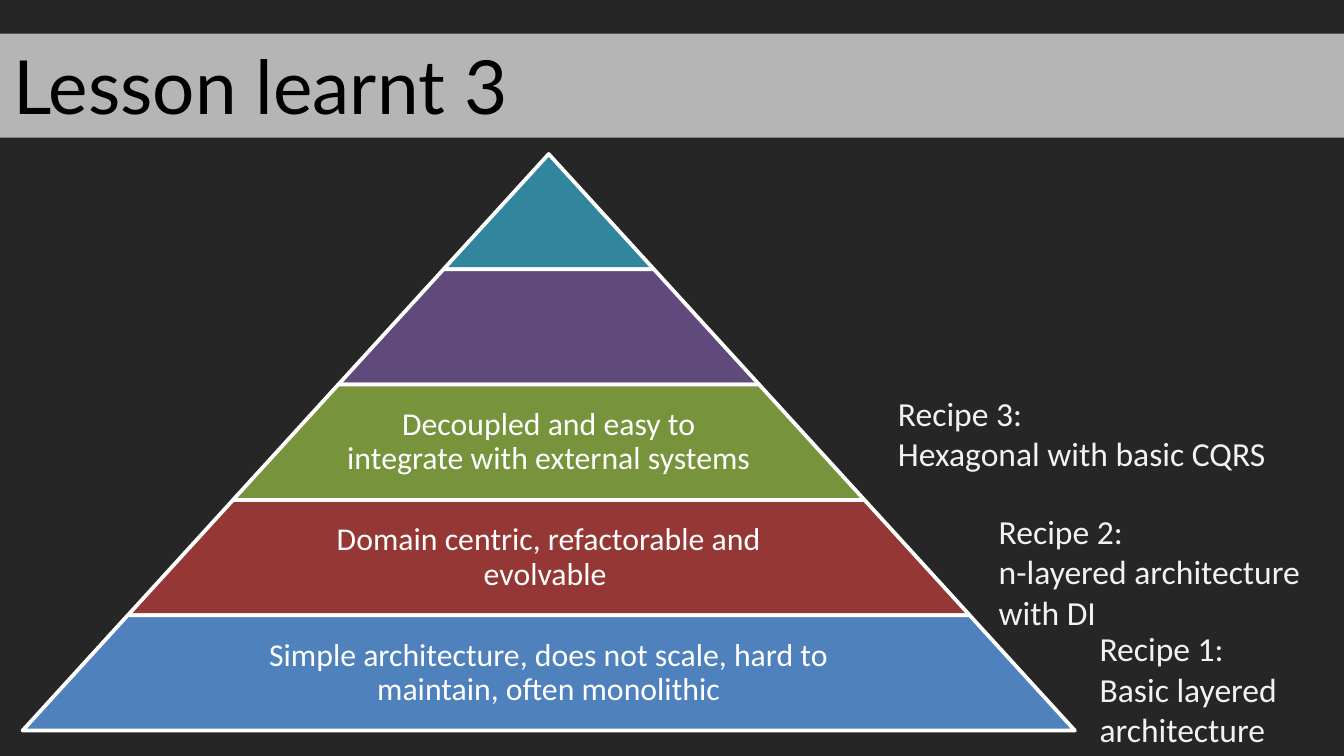
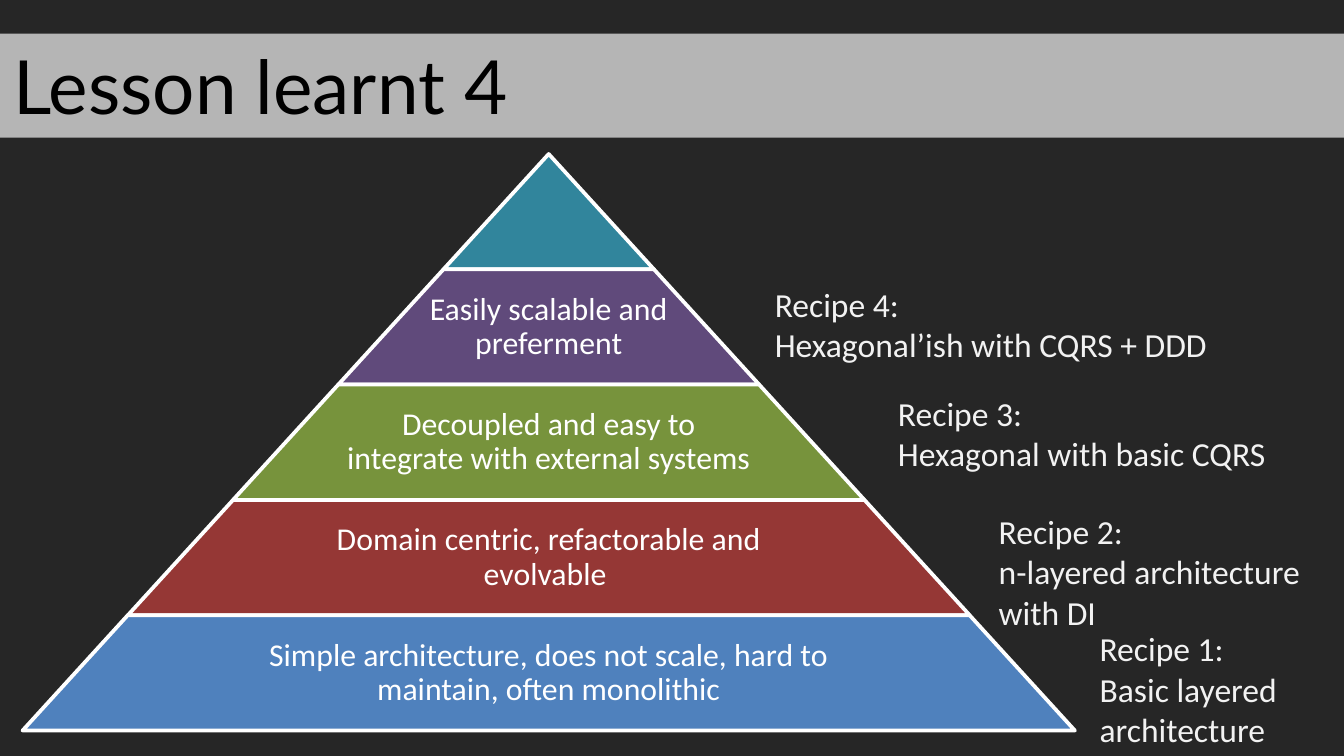
from lxml.etree import SubElement
from pptx import Presentation
from pptx.dml.color import RGBColor
from pptx.enum.shapes import MSO_SHAPE
from pptx.enum.text import MSO_ANCHOR, MSO_AUTO_SIZE, PP_ALIGN
from pptx.oxml.ns import qn
from pptx.util import Inches, Pt

WIDE = Inches(10)
HIGH = WIDE * 9 // 16
COLORS = {
    "back": "262626", "band": "D9D9D9", "title": "000000",
    "edge": "FFFFFF", "tier": "FFFFFF", "label": "F2F2F2",
}
FILLS = ["31859C", "604A7B", "77933C", "953735", "4F81BD"]
APEX, TOP, STEP, ROW = 40.83, 11.46, 7.83, 8.58
SHARE = 0.65
TIERS = [
    "",
    "Easily scalable and preferment",
    "Decoupled and easy to integrate with external systems",
    "Domain centric, refactorable and evolvable ",
    "Simple architecture, does not scale, hard to maintain, often monolithic",
]
RECIPES = [
    ((80.83, 46.25, 15.5, 10.1), ["Basic layered", "architecture"]),
    ((73.33, 37.53, 25, 10.1), ["n-layered architecture with DI"]),
    ((65.83, 28.75, 32.5, 7.07), ["Hexagonal with basic CQRS"]),
    ((56.67, 20.63, 41.67, 7.07), ["Hexagonal’ish with CQRS + DDD"]),
]


def grid(*cells):
    """Turn grid units, a hundred to the slide width, into lengths."""
    return [round(cell * WIDE / 100) for cell in cells]


def paint(fill, color):
    """Give a solid fill."""
    fill.solid()
    fill.fore_color.rgb = RGBColor.from_string(color)


def write(frame, lines, name, size, color, align=PP_ALIGN.LEFT):
    """Write each line as a paragraph in one style."""
    frame.word_wrap = True
    frame.text = "\n".join(lines)
    for para in frame.paragraphs:
        para.alignment = align
        para.font.name = name
        para.font.size = Pt(size)
        para.font.color.rgb = RGBColor.from_string(COLORS[color])


def add_title(slide, text):
    """Make the title placeholder a see-through band over the full width."""
    band = slide.shapes.title
    band.left, band.top, band.width, band.height = grid(0, 2.5, 100, 7.74)
    paint(band.fill, COLORS["band"])
    color = band.fill._xPr.find(qn("a:solidFill"))[0]
    SubElement(color, qn("a:alpha"), val="80000")
    frame = band.text_frame
    frame.vertical_anchor = MSO_ANCHOR.TOP
    write(frame, [text], "Lato", 40, "title")
    frame.auto_size = MSO_AUTO_SIZE.NONE


def add_tier(group, index, text):
    """Add one level of the pyramid, with its text if it has any."""
    half, top = STEP * (index + 1), TOP + ROW * index
    tier = group.shapes.add_shape(
        MSO_SHAPE.TRAPEZOID, *grid(APEX - half, top, 2 * half, ROW)
    )
    tier.adjustments[0] = STEP / ROW
    tier.shadow.inherit = False
    paint(tier.fill, FILLS[index])
    paint(tier.line.fill, COLORS["edge"])
    tier.line.width = Pt(2)
    if text:
        half *= SHARE
        box = group.shapes.add_textbox(*grid(APEX - half, top, 2 * half, ROW))
        frame = box.text_frame
        frame.margin_left = frame.margin_right = Inches(0.02)
        frame.margin_top = frame.margin_bottom = Inches(0.02)
        frame.vertical_anchor = MSO_ANCHOR.MIDDLE
        write(frame, [text], "Calibri", 17, "tier", PP_ALIGN.CENTER)
        frame.paragraphs[0].line_spacing = 0.9


def add_label(slide, number, place, lines):
    """Add the recipe beside its level."""
    frame = slide.shapes.add_textbox(*grid(*place)).text_frame
    write(frame, [f"Recipe {number}:", *lines], "Calibri", 18, "label")
    frame.auto_size = MSO_AUTO_SIZE.SHAPE_TO_FIT_TEXT


def add_lesson(deck, count):
    """Add a slide with the lowest levels explained, up to the count."""
    slide = deck.slides.add_slide(deck.slide_layouts[5])
    add_title(slide, f"Lesson learnt {count}")
    group = slide.shapes.add_group_shape()
    for index, text in enumerate(TIERS):
        add_tier(group, index, text if index >= len(TIERS) - count else "")
    for number, (place, lines) in enumerate(RECIPES[:count], 1):
        add_label(slide, number, place, lines)


def main():
    """Build and save the deck."""
    deck = Presentation()
    deck.slide_width, deck.slide_height = WIDE, HIGH
    paint(deck.slide_master.background.fill, COLORS["back"])
    for count in (3, 4):
        add_lesson(deck, count)
    deck.save("out.pptx")


if __name__ == "__main__":
    main()
